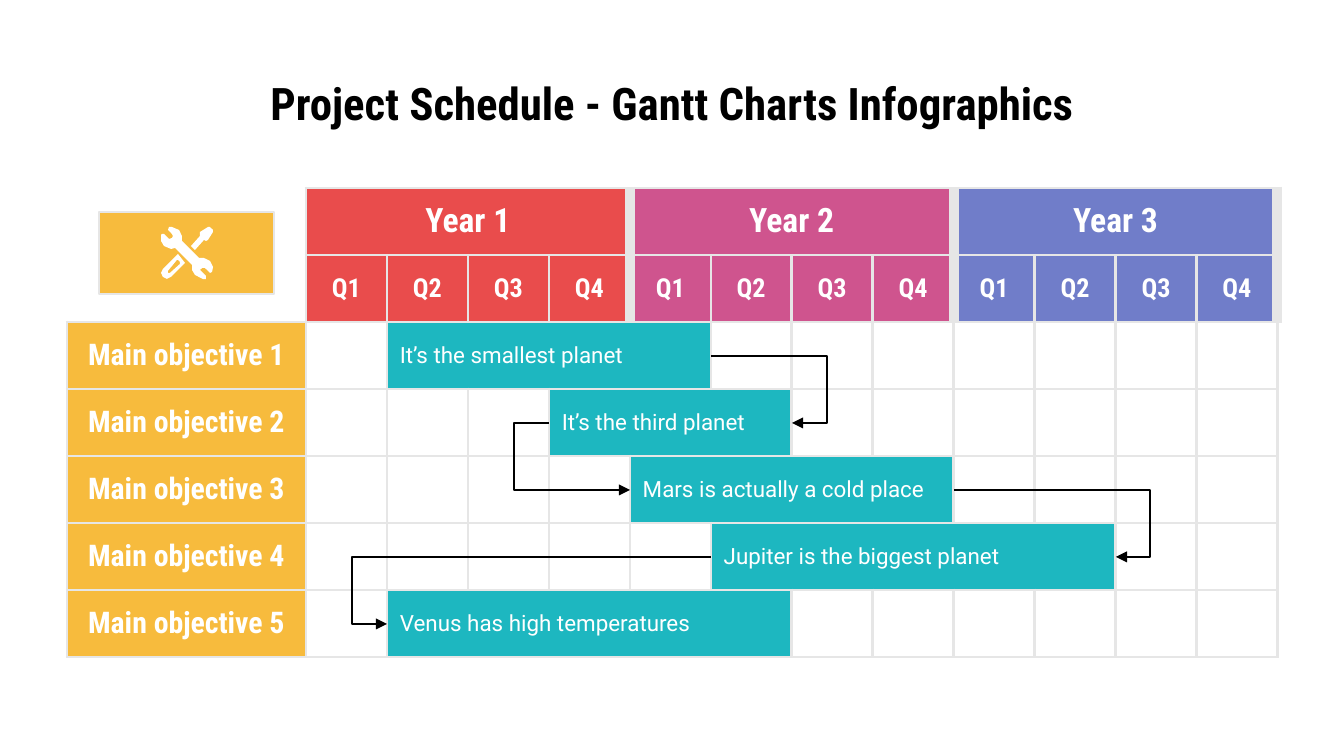
"""Builds a three-year Gantt chart slide with linked tasks."""
from lxml import etree
from pptx import Presentation, util as u
from pptx.dml.color import RGBColor
from pptx.enum import shapes, text
from pptx.oxml.ns import qn

PX = 914400 / 134.4
HUE = {"ink": "000000", "white": "FFFFFF", "grid": "E6E6E6", "gold": "F7BB3D", "teal": "1DB7C0"}
YEARS = {"Year 1": "E94C4C", "Year 2": "CF548E", "Year 3": "707DC9"}
TASKS = [
    ("It’s the smallest planet", 2, 4),
    ("It’s the third planet", 4, 3),
    ("Mars is actually a cold place", 5, 4),
    ("Jupiter is the biggest planet", 6, 5),
    ("Venus has high temperatures", 2, 5),
]
TURNS = [827, 514, 1150, 352]
LEFT, TOP, HEAD, COL, ROW = 67, 188, 239, 81, 67
MID = text.MSO_ANCHOR.MIDDLE
HEADING = {"name": "Roboto Condensed", "bold": True}
BODY = {"name": "Roboto", "bold": False}
WRENCH = [
    (172, 227), (169, 227), (168, 230), (172, 234), (173, 236), (172, 238), (169, 239),
    (168, 238), (164, 234), (162, 234), (161, 235), (161, 241), (164, 246), (171, 249),
    (175, 248), (192, 265), (192, 270), (195, 275), (203, 279), (206, 279), (206, 276),
    (202, 272), (200, 270), (202, 268), (205, 268), (210, 273), (212, 272), (213, 267),
    (210, 261), (204, 258), (199, 258), (182, 241), (182, 236), (179, 230),
]
HANDLE = [(178, 254), (163, 269), (161, 273), (163, 277), (167, 279), (171, 277), (185, 263)]
SLOT = [(178, 260), (180, 262), (180, 264), (170, 273), (168, 273), (168, 271), (177, 260)]
BLADE = [
    (210, 227), (208, 227), (200, 232), (200, 236), (191, 246), (195, 250),
    (204, 240), (206, 241), (208, 240), (213, 232), (213, 230),
]


def px(*vals):
    """Turn pixel lengths into EMU."""
    return [u.Emu(round(v * PX)) for v in vals]


def rgb(hue):
    """Look up a named colour, or take a hex string."""
    return RGBColor.from_string(HUE.get(hue, hue))


def put(item, form):
    """Set attributes from a dict of format values."""
    for name, val in form.items():
        setattr(item, name, val)


def paint(item, hue):
    """Give a shape or cell a solid fill."""
    item.fill.solid()
    item.fill.fore_color.rgb = rgb(hue)


def write(frame, words, size, form, hue="white", align=text.PP_ALIGN.CENTER):
    """Write one formatted paragraph."""
    para = frame.paragraphs[0]
    para.alignment = align
    run = para.add_run()
    run.text = words
    put(run.font, {"size": u.Pt(size), **form})
    run.font.color.rgb = rgb(hue)


def edge(cell, side, hue, width):
    """Draw one border of a cell."""
    line = etree.SubElement(cell._tc.get_or_add_tcPr(), qn("a:ln" + side), w=str(u.Pt(width)))
    fill = etree.SubElement(line, qn("a:solidFill"))
    etree.SubElement(fill, qn("a:srgbClr"), val=HUE[hue])


def fill_cell(cell, words, size, form, hue, align=text.PP_ALIGN.CENTER):
    """Fill a table cell with colour and text."""
    inset, = px(13)
    put(cell, {"vertical_anchor": MID, "margin_left": inset, "margin_right": inset,
               "margin_top": inset, "margin_bottom": inset})
    paint(cell, hue)
    write(cell.text_frame, words, size, form, align=align)


def rule(grid):
    """Draw all borders, with thick ones between years."""
    for row in range(7):
        for col in range(13):
            cell = grid.cell(row, col)
            if cell.is_spanned:
                continue
            last = col + (cell.span_width if cell.is_merge_origin else 1) - 1
            head, blank = row < 2, row < 2 and col == 0
            edge(cell, "L", "white" if blank else "grid", 6 if head and col in (5, 9) else 1.5)
            edge(cell, "R", "grid", 6 if head and last in (4, 8, 12) else 1.5)
            edge(cell, "T", "white" if blank else "grid", 1.5)
            edge(cell, "B", "white" if blank and row == 0 else "grid", 1.5)
            cell.fill.background()


def add_grid(slide):
    """Add the schedule table."""
    frame = slide.shapes.add_table(7, 13, *px(LEFT, TOP, HEAD + 12 * COL, 7 * ROW))
    grid = frame.table
    put(grid, {"first_row": False, "horz_banding": False})
    for num, col in enumerate(grid.columns):
        col.width, = px(COL if num else HEAD)
    for row in grid.rows:
        row.height, = px(ROW)
    for num in range(3):
        grid.cell(0, 4 * num + 1).merge(grid.cell(0, 4 * num + 4))
    for row, (_, start, span) in enumerate(TASKS, 2):
        grid.cell(row, start).merge(grid.cell(row, start + span - 1))
    rule(grid)
    for num, (year, hue) in enumerate(YEARS.items()):
        fill_cell(grid.cell(0, 4 * num + 1), year, 18, HEADING, hue)
        for part in range(1, 5):
            fill_cell(grid.cell(1, 4 * num + part), f"Q{part}", 14, HEADING, hue)
    for row, (words, start, _) in enumerate(TASKS, 2):
        fill_cell(grid.cell(row, 0), f"Main objective {row - 1}", 16, HEADING, "gold")
        fill_cell(grid.cell(row, start), words, 12, BODY, "teal", text.PP_ALIGN.LEFT)


def add_link(slide, num, turn):
    """Link a task to the next one by a bent arrow."""
    ends = []
    for _, start, span in TASKS[num:num + 2]:
        ends.append(LEFT + HEAD + COL * (start - 1 + (0 if num % 2 else span)))
    begin, end = ends
    high = TOP + ROW * (num + 2) + 34
    link = slide.shapes.add_connector(
        shapes.MSO_CONNECTOR.ELBOW, *px(begin, high, end, high + ROW))
    link.line.color.rgb = rgb("ink")
    link.line.width = u.Pt(0.75)
    etree.SubElement(link.line._get_or_add_ln(), qn("a:tailEnd"), type="triangle")
    props = link._element.spPr
    etree.SubElement(props, qn("a:effectLst"))
    bend = round((turn - begin) / (end - begin) * 100000)
    geom = props.find(qn("a:prstGeom"))
    guides = geom.find(qn("a:avLst"))
    if guides is None:
        guides = etree.SubElement(geom, qn("a:avLst"))
    etree.SubElement(guides, qn("a:gd"), name="adj1", fmla=f"val {bend}")


def add_part(group, *rings):
    """Add one white outline, with holes if given."""
    pen = group.shapes.build_freeform(*rings[0][0], scale=PX)
    pen.add_line_segments(rings[0][1:])
    for ring in rings[1:]:
        pen.move_to(*ring[0])
        pen.add_line_segments(ring[1:])
    part = pen.convert_to_shape()
    part.shadow.inherit = False
    paint(part, "white")
    part.line.fill.background()


def add_badge(slide):
    """Add the gold badge with its tools icon."""
    badge = slide.shapes.add_shape(shapes.MSO_SHAPE.RECTANGLE, *px(99, 212, 175, 82))
    badge.shadow.inherit = False
    paint(badge, "gold")
    badge.line.color.rgb = rgb("grid")
    badge.line.width = u.Pt(1.5)
    icon = slide.shapes.add_group_shape()
    for rings in ([WRENCH], [HANDLE, SLOT], [BLADE]):
        add_part(icon, *rings)


def add_title(slide):
    """Add the slide title."""
    frame = slide.shapes.add_textbox(*px(67, 60, 1210, 85)).text_frame
    put(frame, {"word_wrap": True, "vertical_anchor": MID})
    write(frame, "Project Schedule - Gantt Charts Infographics", 24, HEADING, "ink")


def main():
    """Build and save the slide."""
    deck = Presentation()
    deck.slide_width, deck.slide_height = px(1344, 756)
    slide = deck.slides.add_slide(deck.slide_layouts[6])
    add_title(slide)
    add_grid(slide)
    for num, turn in enumerate(TURNS):
        add_link(slide, num, turn)
    add_badge(slide)
    deck.save("out.pptx")


if __name__ == "__main__":
    main()
